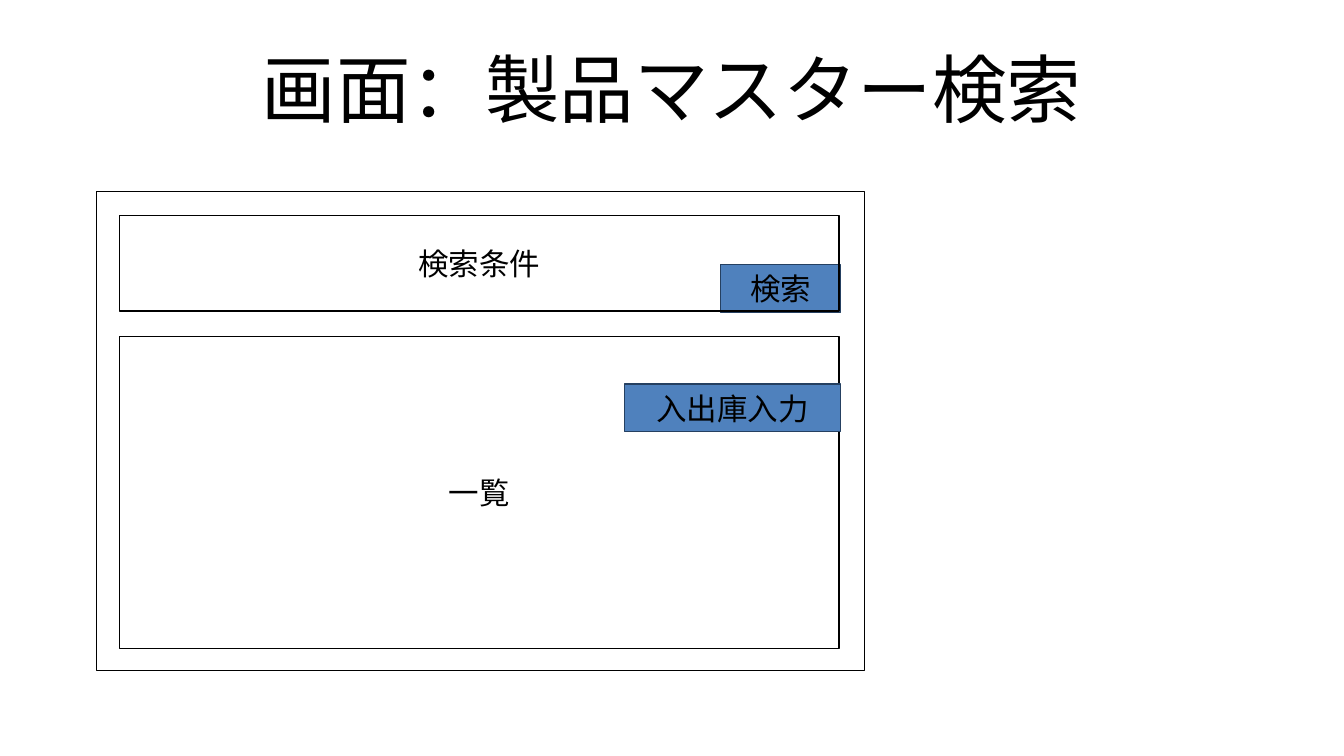
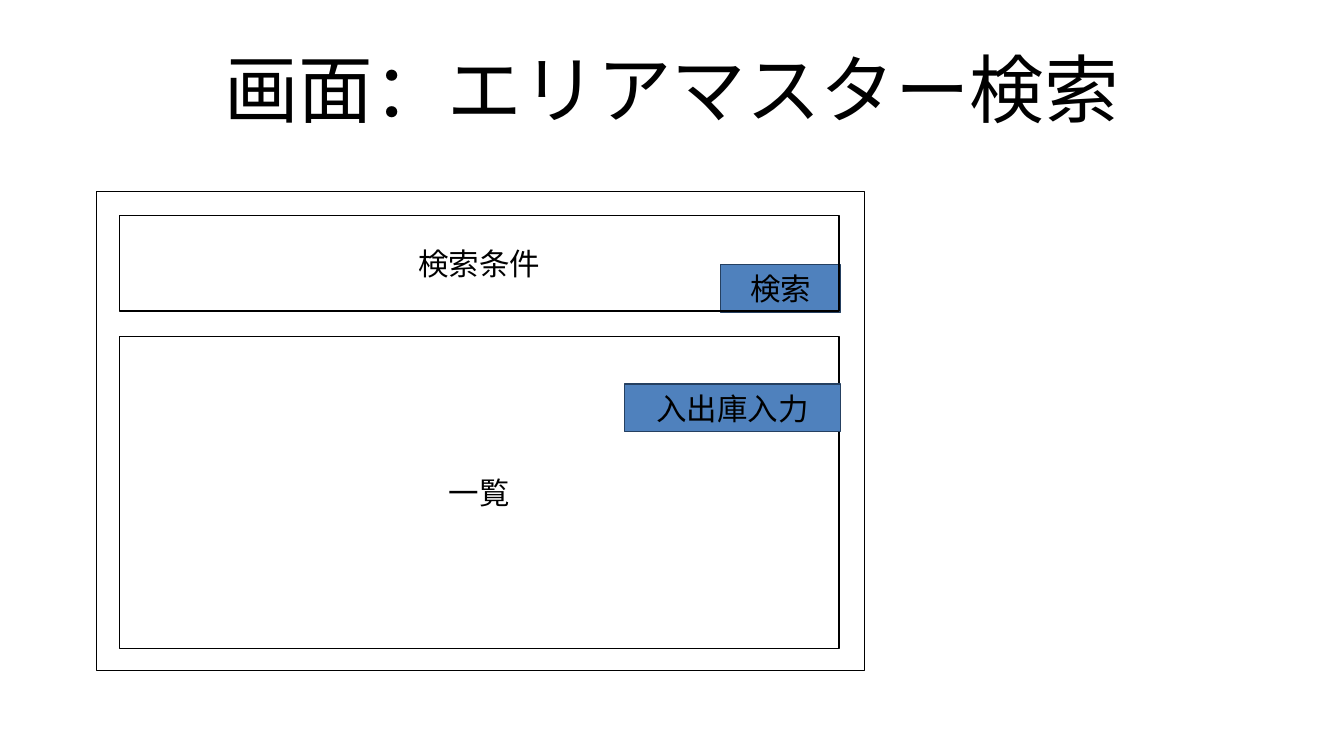
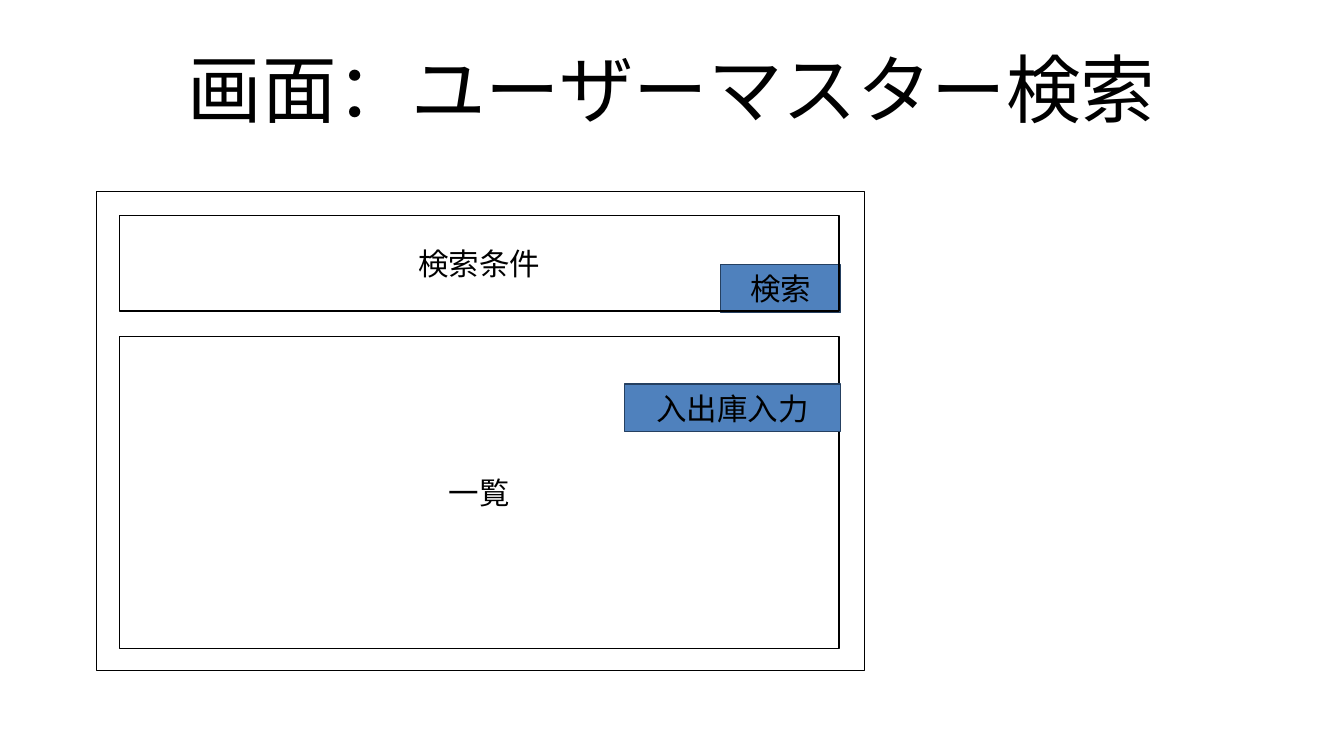
from dataclasses import dataclass

import pptx
import pptx.dml.color
import pptx.enum.shapes
import pptx.enum.text
import pptx.presentation
import pptx.slide
import pptx.text.text
import pptx.util

Inches = pptx.util.Inches
Pt = pptx.util.Pt

COLORS = {"ink": "000000", "button": "4F81BD", "edge": "254061"}
FONT = "Arial"


@dataclass(frozen=True)
class Box:
    left: float
    top: float
    width: float
    height: float
    label: str = ""
    fill: str | None = None
    line: str = "ink"


# Screen layout: panels share the left and right edges, buttons sit on the right
LEFT, WIDTH = 0.98, 5.9
RIGHT = 6.89
ROW = 0.39


def button(top: float, width: float, label: str) -> Box:
    return Box(RIGHT - width, top, width, ROW, label, "button", "edge")


SCREEN = [
    Box(0.79, 1.57, 6.3, 3.93),
    button(2.17, 0.98, "検索"),
    Box(LEFT, 1.77, WIDTH, 2 * ROW, "検索条件"),
    Box(LEFT, 2.76, WIDTH, 2.56, "一覧"),
    button(3.15, 1.77, "入出庫入力"),
]

MASTERS = ["製品", "エリア", "ユーザー"]


def color(name: str) -> pptx.dml.color.RGBColor:
    return pptx.dml.color.RGBColor.from_string(COLORS[name])


def write(frame: pptx.text.text.TextFrame, text: str, size: float) -> None:
    """Fill a frame with one centred line."""
    frame.word_wrap = True
    frame.vertical_anchor = pptx.enum.text.MSO_ANCHOR.MIDDLE
    line = frame.paragraphs[0]
    line.text = text
    line.alignment = pptx.enum.text.PP_ALIGN.CENTER
    line.font.name = FONT
    line.font.size = Pt(size)
    line.font.color.rgb = color("ink")


def add_title(slide: pptx.slide.Slide, text: str) -> None:
    frame = slide.shapes.add_textbox(
        Inches(0.55), Inches(0.25), Inches(9.92), Inches(1.03)
    ).text_frame
    frame.margin_left = frame.margin_right = 0
    frame.margin_top = frame.margin_bottom = 0
    write(frame, text, 44)
    frame.paragraphs[0].line_spacing = 0.9


def add_box(slide: pptx.slide.Slide, box: Box) -> None:
    shape = slide.shapes.add_shape(
        pptx.enum.shapes.MSO_SHAPE.RECTANGLE,
        Inches(box.left), Inches(box.top), Inches(box.width), Inches(box.height),
    )
    shape.shadow.inherit = False
    if box.fill:
        shape.fill.solid()
        shape.fill.fore_color.rgb = color(box.fill)
    else:
        shape.fill.background()
    shape.line.color.rgb = color(box.line)
    shape.line.width = Pt(0)
    if box.label:
        write(shape.text_frame, box.label, 18)


def add_screen(deck: pptx.presentation.Presentation, master: str) -> None:
    slide = deck.slides.add_slide(deck.slide_layouts[6])
    add_title(slide, f"画面：{master}マスター検索")
    for box in SCREEN:
        add_box(slide, box)


def main() -> None:
    deck = pptx.Presentation()
    deck.slide_width = Inches(11.02)
    deck.slide_height = Inches(6.2)
    for master in MASTERS:
        add_screen(deck, master)
    deck.save("out.pptx")


if __name__ == "__main__":
    main()
